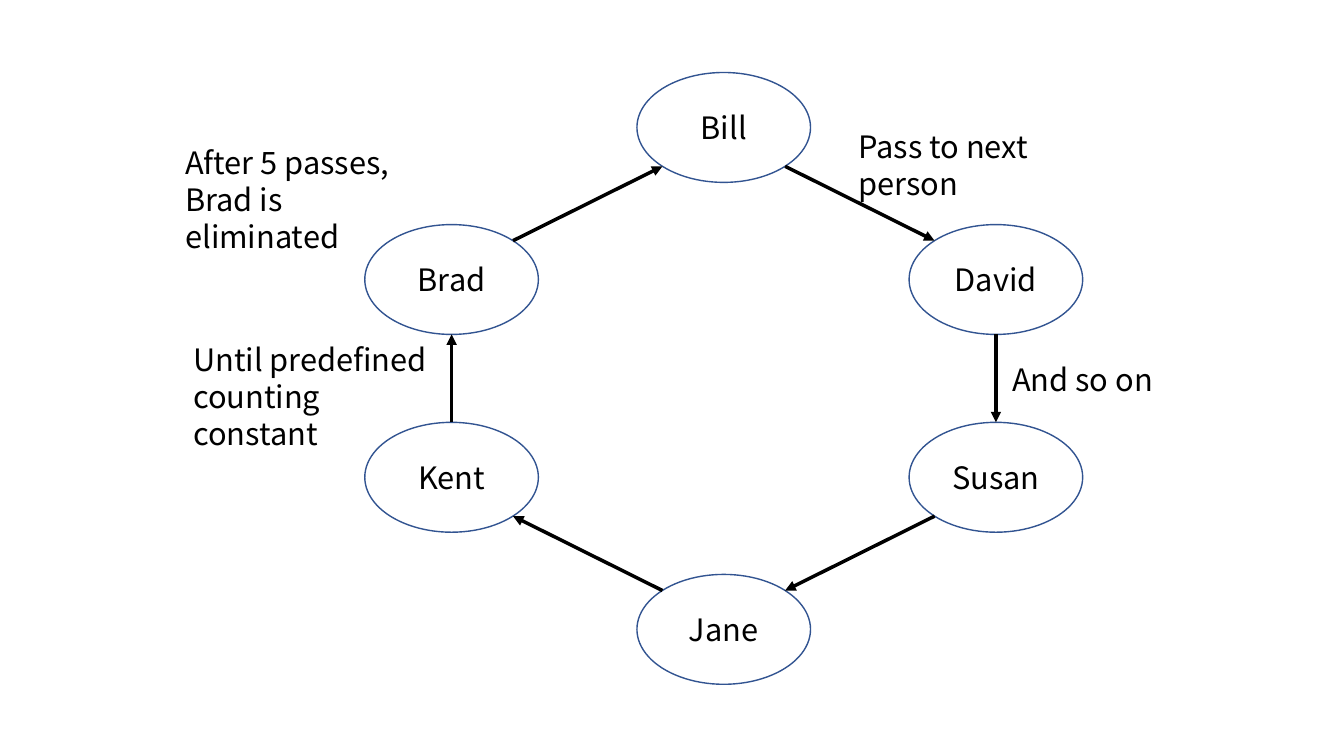
from math import cos, radians, sin

from lxml import etree
from pptx import Presentation
from pptx.dml.color import RGBColor
from pptx.enum.shapes import MSO_CONNECTOR as Connector, MSO_SHAPE as Shape
from pptx.enum.text import MSO_ANCHOR as Anchor, PP_ALIGN as Align
from pptx.oxml.ns import qn
from pptx.util import Pt

COLORS = {"fill": "FFFFFF", "outline": "325491", "ink": "000000"}
FONT = "Noto Sans CJK KR"
OVAL_WIDTH, OVAL_HEIGHT = 124, 78.5

# name, column offset, row offset, angle at which the arrow leaves
PLAYERS = [
    ("Bill", 0, -1, 45),
    ("David", 1, -0.394, 90),
    ("Susan", 1, 0.394, 135),
    ("Jane", 0, 1, 225),
    ("Kent", -1, 0.394, 270),
    ("Brad", -1, -0.394, 315),
]

LABELS = [
    (["After 5 passes,", "Brad is eliminated"], (125.3, 99.4, 197.3, 60.5), Align.LEFT),
    (["Until predefined counting constant"], (131, 239.8, 197.3, 60.5), Align.LEFT),
    (["And so on"], (711.4, 254.2, 123.8, 33.8), Align.CENTER),
    (["Pass to next person"], (606.2, 87.8, 149, 60.5), Align.LEFT),
]


def color(name):
    """Return the named palette colour."""
    return RGBColor.from_string(COLORS[name])


def style_text(paragraph, align):
    """Apply the common font and an alignment to a paragraph."""
    paragraph.alignment = align
    for run in paragraph.runs:
        run.font.name = FONT
        run.font.size = Pt(22)
        run.font.color.rgb = color("ink")


def add_player(slide, name, center):
    """Draw one named oval around its centre."""
    x, y = center
    shape = slide.shapes.add_shape(
        Shape.OVAL, Pt(x - OVAL_WIDTH / 2), Pt(y - OVAL_HEIGHT / 2),
        Pt(OVAL_WIDTH), Pt(OVAL_HEIGHT))
    shape.shadow.inherit = False
    shape.fill.solid()
    shape.fill.fore_color.rgb = color("fill")
    shape.line.color.rgb = color("outline")
    shape.line.width = Pt(1)
    shape.text_frame.text = name
    shape.text_frame.vertical_anchor = Anchor.MIDDLE
    style_text(shape.text_frame.paragraphs[0], Align.CENTER)


def rim_point(center, angle):
    """Return the point on an oval's rim at a clockwise angle in degrees."""
    x, y = center
    return (Pt(x + OVAL_WIDTH / 2 * cos(radians(angle))),
            Pt(y + OVAL_HEIGHT / 2 * sin(radians(angle))))


def add_pass(slide, giver, receiver, angle):
    """Draw an arrow between the facing rims of two ovals."""
    connector = slide.shapes.add_connector(
        Connector.STRAIGHT, *rim_point(giver, angle), *rim_point(receiver, angle + 180))
    connector.line.color.rgb = color("ink")
    connector.line.width = Pt(2.5)
    etree.SubElement(connector.line._get_or_add_ln(), qn("a:tailEnd"), type="triangle")
    etree.SubElement(connector._element.spPr, qn("a:effectLst"))


def add_ring(slide, left, top, width, height):
    """Place the players and their passes in the given box."""
    radius_x, radius_y = (width - OVAL_WIDTH) / 2, (height - OVAL_HEIGHT) / 2
    centers = [(left + width / 2 + column * radius_x, top + height / 2 + row * radius_y)
               for _, column, row, _ in PLAYERS]
    for (name, *_), center in zip(PLAYERS, centers):
        add_player(slide, name, center)
    receivers = centers[1:] + centers[:1]
    for (*_, angle), giver, receiver in zip(PLAYERS, centers, receivers):
        add_pass(slide, giver, receiver, angle)


def add_label(slide, lines, box, align):
    """Write a wrapped label in the given box."""
    text_frame = slide.shapes.add_textbox(*map(Pt, box)).text_frame
    text_frame.word_wrap = True
    text_frame.text = "\n".join(lines)
    for paragraph in text_frame.paragraphs:
        paragraph.line_spacing = Pt(26.4)
        style_text(paragraph, align)


def main():
    """Build and save the presentation."""
    presentation = Presentation()
    presentation.slide_width, presentation.slide_height = Pt(960), Pt(540)
    slide = presentation.slides.add_slide(presentation.slide_layouts[6])
    add_ring(slide, 260.6, 51.8, 512.8, 437)
    for lines, box, align in LABELS:
        add_label(slide, lines, box, align)
    presentation.save("out.pptx")


if __name__ == "__main__":
    main()
